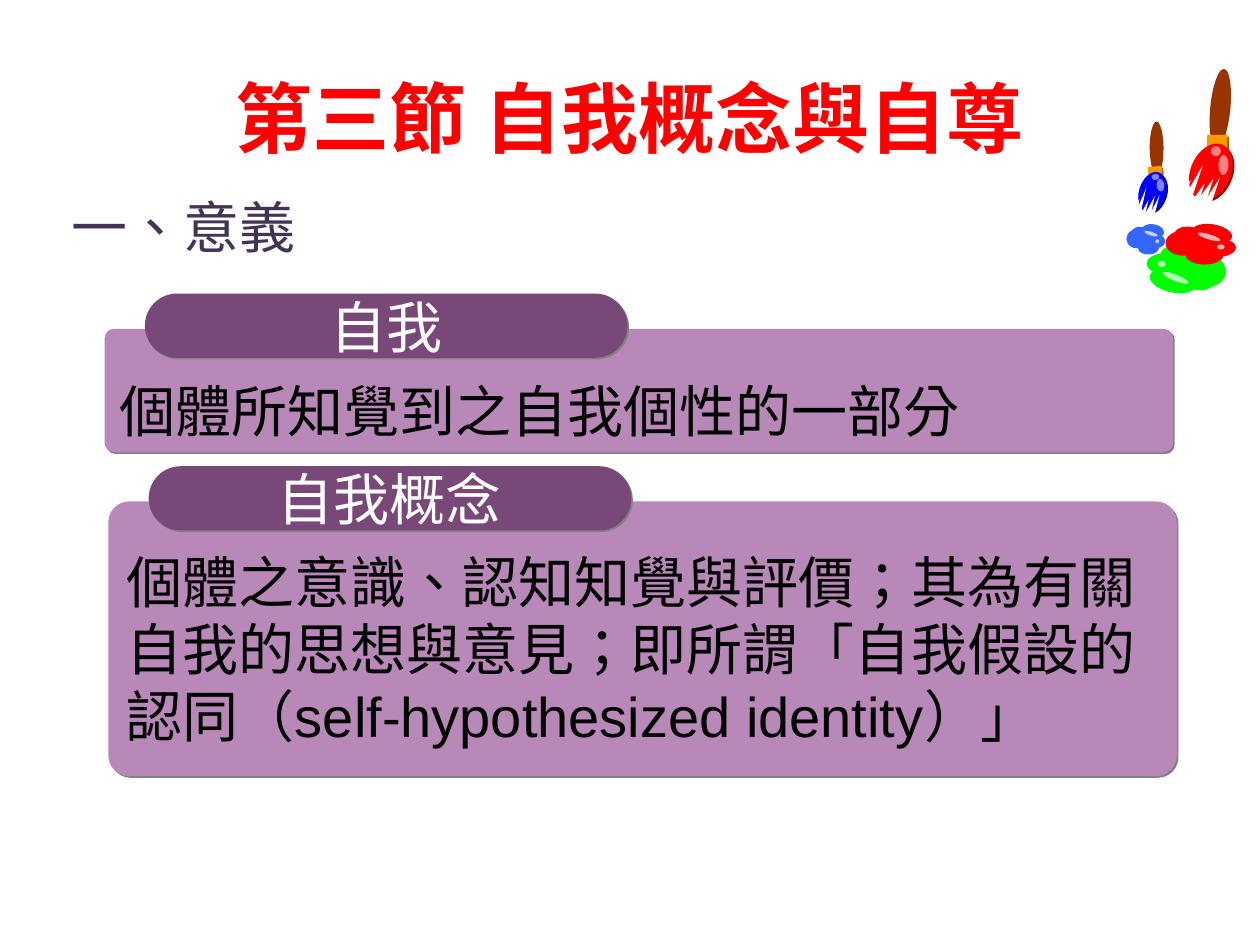
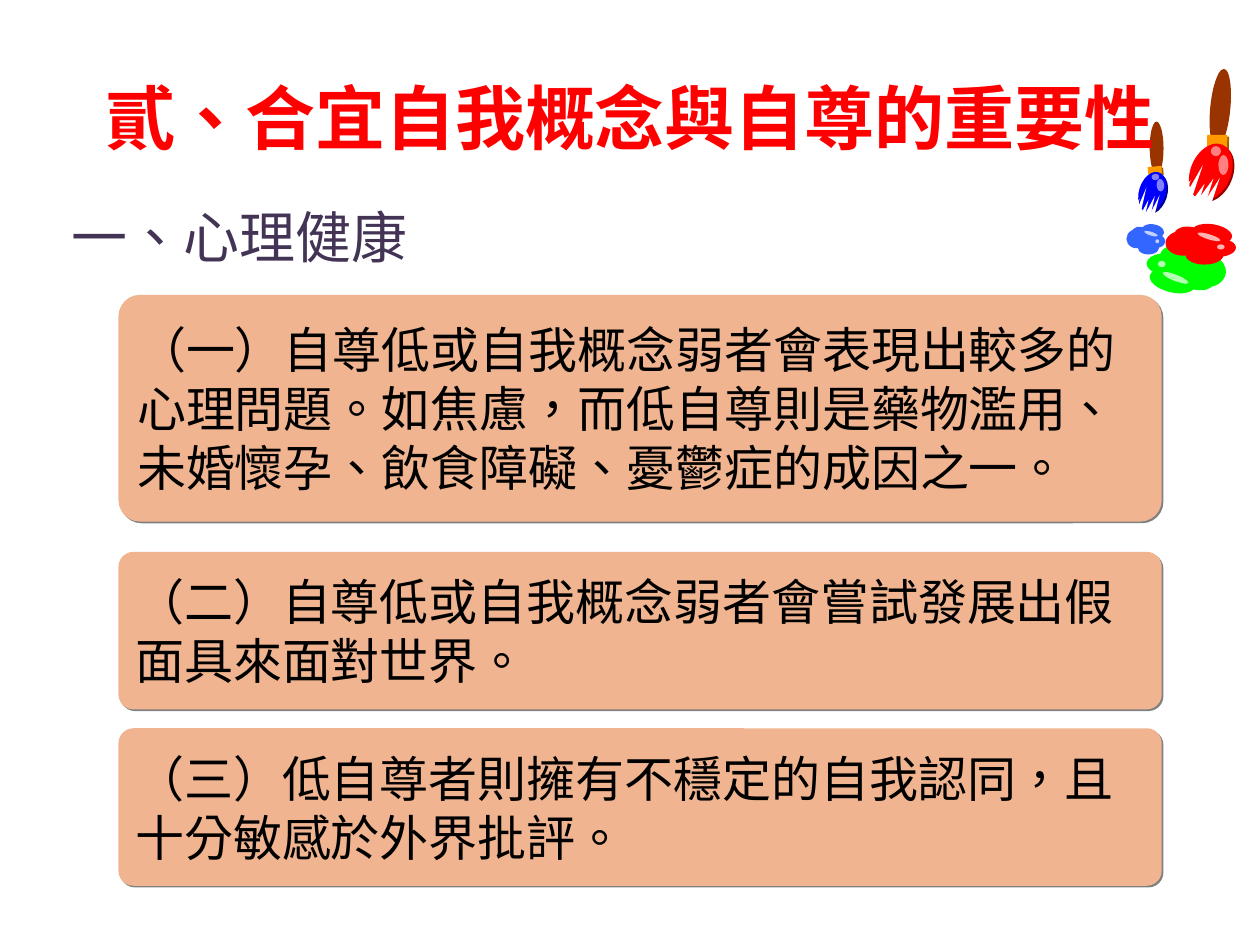
from lxml import etree
from pptx import Presentation
from pptx import util as u
from pptx.dml.color import RGBColor
from pptx.enum import shapes, text
from pptx.oxml import ns

# Shared look
CJK = "Noto Sans CJK SC"
RED, HEADING, BLACK, WHITE = "FF0000", "433456", "000000", "FFFFFF"
CARD, LABEL, PEACH, SHADOW = "B888B8", "784878", "F0B590", "808080"
BROWN, ORANGE, ORANGE_SHADE = "993300", "FF9900", "995C00"

OVAL = shapes.MSO_SHAPE.OVAL
RECT = shapes.MSO_SHAPE.RECTANGLE
ROUND = shapes.MSO_SHAPE.ROUNDED_RECTANGLE
TRIANGLE = shapes.MSO_SHAPE.ISOSCELES_TRIANGLE
LEFT, CENTER = text.PP_ALIGN.LEFT, text.PP_ALIGN.CENTER
MIDDLE, BOTTOM = text.MSO_ANCHOR.MIDDLE, text.MSO_ANCHOR.BOTTOM

# Brushes: ovals are (left, top, width, height, rotation);
# bristle gaps add the apex position
BRUSHES = [
    dict(handle=(9.37, 0.78, 0.63, 0.16, 275.5),
         ferrule=(9.58, 1.07, 0.16, 0.1, 180.8),
         head=(9.45, 1.13, 0.32, 0.47, 23.4), color=RED, shade="990000",
         gaps=[(9.34, 1.41, 0.08, 0.24, 19.5, 0.91),
               (9.59, 1.41, 0.08, 0.31, 32.9, 0),
               (9.41, 1.29, 0.08, 0.39, 19.5, 0.91),
               (9.52, 1.4, 0.08, 0.24, 19.5, 0.91),
               (9.45, 1.44, 0.08, 0.24, 19.5, 0.91)],
         shines=[(9.67, 1.23, 0.08, 0.16, 1.3),
                 (9.61, 1.16, 0.08, 0.08, 1.3)]),
    dict(handle=(8.97, 1.12, 0.42, 0.11, 269.7),
         ferrule=(9.11, 1.32, 0.11, 0.06, 175),
         head=(9.04, 1.36, 0.21, 0.33, 17.6), color="0000FF", shade="000099",
         gaps=[(8.98, 1.57, 0.05, 0.16, 13.7, 0.91),
               (9.15, 1.55, 0.05, 0.22, 27.1, 0),
               (9.02, 1.48, 0.05, 0.28, 13.7, 0.91),
               (9.1, 1.55, 0.05, 0.17, 13.7, 0.91),
               (9.05, 1.58, 0.05, 0.17, 13.7, 0.91)],
         shines=[(9.18, 1.42, 0.06, 0.1, 355.5),
                 (9.14, 1.38, 0.06, 0.05, 355.5)]),
]

# Paint blots: colour, ovals, shines
BLOTS = [
    ("00FF00",
     [(9.41, 2.02, 0.32, 0.26, 184), (9.21, 1.94, 0.34, 0.18, 184),
      (9.1, 2.01, 0.34, 0.18, 184), (9.12, 2.14, 0.37, 0.18, 193.7),
      (9.35, 2.12, 0.29, 0.18, 193.7)],
     [(9.19, 2.07, 0.06, 0.05, 184), (9.22, 2.18, 0.22, 0.05, 201.5)]),
    ("3366FF",
     [(8.94, 1.82, 0.16, 0.15, 0), (9.03, 1.91, 0.17, 0.11, 0),
      (9.08, 1.86, 0.17, 0.11, 0), (9.06, 1.78, 0.18, 0.11, 9.6),
      (8.98, 1.8, 0.14, 0.11, 9.6)],
     [(9.17, 1.9, 0.03, 0.03, 0), (9.08, 1.84, 0.11, 0.03, 17.5)]),
    (RED,
     [(9.25, 1.83, 0.28, 0.2, 0), (9.41, 1.95, 0.3, 0.15, 0),
      (9.51, 1.89, 0.3, 0.15, 0), (9.46, 1.78, 0.32, 0.15, 9.6),
      (9.32, 1.8, 0.25, 0.15, 9.6)],
     [(9.66, 1.94, 0.06, 0.04, 0), (9.5, 1.86, 0.19, 0.04, 17.5)]),
]


def rgb(color):
    return RGBColor.from_string(color)


def add_shadow(sp, color):
    """Hard shadow, 1.4 pt to the lower right."""
    effects = sp.element.spPr.find(ns.qn("a:effectLst"))
    shadow = etree.SubElement(effects, ns.qn("a:outerShdw"), blurRad="0",
                              dist=str(u.Pt(1.4)), dir="2700000",
                              algn="ctr", rotWithShape="0")
    etree.SubElement(shadow, ns.qn("a:srgbClr"), val=color)


def add_shape(parent, kind, box, fill, rot=0, adj=None, shadow=None,
              opacity=None):
    sp = parent.shapes.add_shape(kind, *map(u.Inches, box))
    sp.rotation = rot
    sp.shadow.inherit = False
    sp.line.fill.background()
    sp.fill.solid()
    sp.fill.fore_color.rgb = rgb(fill)
    if adj is not None:
        sp.adjustments[0] = adj
    if shadow:
        add_shadow(sp, shadow)
    if opacity:
        clr = sp.element.spPr.find(".//" + ns.qn("a:srgbClr"))
        etree.SubElement(clr, ns.qn("a:alpha"), val=str(opacity * 1000))
    return sp


def write(sp, lines, size, color, font=CJK, align=LEFT, anchor=MIDDLE,
          wrap=True, bold=False, top=0.05):
    tf = sp.text_frame
    tf.word_wrap = wrap
    tf.vertical_anchor = anchor
    tf.margin_left = tf.margin_right = u.Inches(0.1)
    tf.margin_top, tf.margin_bottom = u.Inches(top), u.Inches(0.05)
    tf.text = "\n".join(lines)
    for p in tf.paragraphs:
        p.alignment = align
        p.font.size = u.Pt(size)
        p.font.bold = bold
        p.font.name = font
        p.font.color.rgb = rgb(color)
        # East Asian face and Traditional Chinese glyph forms
        props = p._p.find(".//" + ns.qn("a:defRPr"))
        props.set("lang", "zh-TW")
        etree.SubElement(props, ns.qn("a:ea"), typeface=CJK)


def add_ovals(group, ovals, fill, opacity=None):
    for *box, rot in ovals:
        add_shape(group, OVAL, box, fill, rot, opacity=opacity)


def add_brush(slide, handle, ferrule, head, color, shade, gaps, shines):
    group = slide.shapes.add_group_shape()
    add_ovals(group, [handle], BROWN)
    add_shape(group, RECT, ferrule[:4], ORANGE, ferrule[4],
              shadow=ORANGE_SHADE)
    add_shape(group, OVAL, head[:4], color, head[4], shadow=shade)
    for *box, rot, apex in gaps:
        add_shape(group, TRIANGLE, box, WHITE, rot, adj=apex)
    add_ovals(group, shines, WHITE, opacity=50)
    return group


def add_blot(slide, color, ovals, shines):
    group = slide.shapes.add_group_shape()
    add_ovals(group, ovals, color)
    add_ovals(group, shines, WHITE, opacity=70)
    return group


def decorate_layout(layout, slide):
    """Draw brushes and paint, then move them to the shared layout."""
    groups = [add_brush(slide, **brush) for brush in BRUSHES]
    groups += [add_blot(slide, *blot) for blot in BLOTS]
    tree = layout.placeholders[0].element.getparent()
    for group in groups:
        tree.append(group.element)
    for number, props in enumerate(tree.iter(ns.qn("p:cNvPr")), 1):
        props.set("id", str(number))


def add_heading(slide, title, size, subtitle, top):
    sp = slide.shapes.title
    sp.left, sp.top = u.Inches(0.5), u.Inches(0.3)
    sp.width, sp.height = u.Inches(9), u.Inches(1.25)
    write(sp, [title], size, RED, align=CENTER, bold=True)
    box = slide.shapes.add_textbox(*map(u.Inches, (0.47, top, 9, 0.67)))
    write(box, [subtitle], 32, HEADING, anchor=text.MSO_ANCHOR.TOP)


def add_definition(slide, term, meaning, left, top, height, anchor, font):
    """Card with a pill label over its top edge."""
    card = add_shape(slide, ROUND, (left, top, 8.48, height), CARD,
                     adj=0.075, shadow=SHADOW)
    write(card, [meaning], 32, BLACK, font, anchor=anchor, top=0.2)
    label = add_shape(slide, ROUND, (left + 0.32, top - 0.28, 3.83, 0.51),
                      LABEL, adj=0.5, shadow=SHADOW)
    write(label, [term], 32, WHITE, "Arial", CENTER, wrap=False)


def add_point(slide, top, height, lines):
    sp = add_shape(slide, ROUND, (0.94, top, 8.28, height), PEACH,
                   adj=0.095, shadow=SHADOW)
    write(sp, lines, 28, BLACK, wrap=False)


def main():
    prs = Presentation()
    prs.slide_width, prs.slide_height = u.Inches(10), u.Inches(7.5)
    layout = prs.slide_layouts[5]

    # Meaning of self and self-concept
    s = prs.slides.add_slide(layout)
    decorate_layout(layout, s)
    add_heading(s, "第三節 自我概念與自尊", 44, "一、意義", 1.48)
    add_definition(s, "自我", "個體所知覺到之自我個性的一部分",
                   0.83, 2.61, 0.98, BOTTOM, CJK)
    add_definition(s, "自我概念",
                   "個體之意識、認知知覺與評價；其為有關自我的思想與意見；"
                   "即所謂「自我假設的認同（self-hypothesized identity）」",
                   0.86, 3.98, 2.18, MIDDLE, "Arial")

    # Importance for mental health
    s = prs.slides.add_slide(layout)
    add_heading(s, "貳、合宜自我概念與自尊的重要性", 40, "一、心理健康", 1.56)
    add_point(s, 2.34, 1.8, ["（一）自尊低或自我概念弱者會表現出較多的",
                             "心理問題。如焦慮，而低自尊則是藥物濫用、",
                             "未婚懷孕、飲食障礙、憂鬱症的成因之一。"])
    add_point(s, 4.38, 1.25, ["（二）自尊低或自我概念弱者會嘗試發展出假",
                              "面具來面對世界。"])
    add_point(s, 5.78, 1.25, ["（三）低自尊者則擁有不穩定的自我認同，且",
                              "十分敏感於外界批評。"])

    prs.save("out.pptx")


if __name__ == "__main__":
    main()
